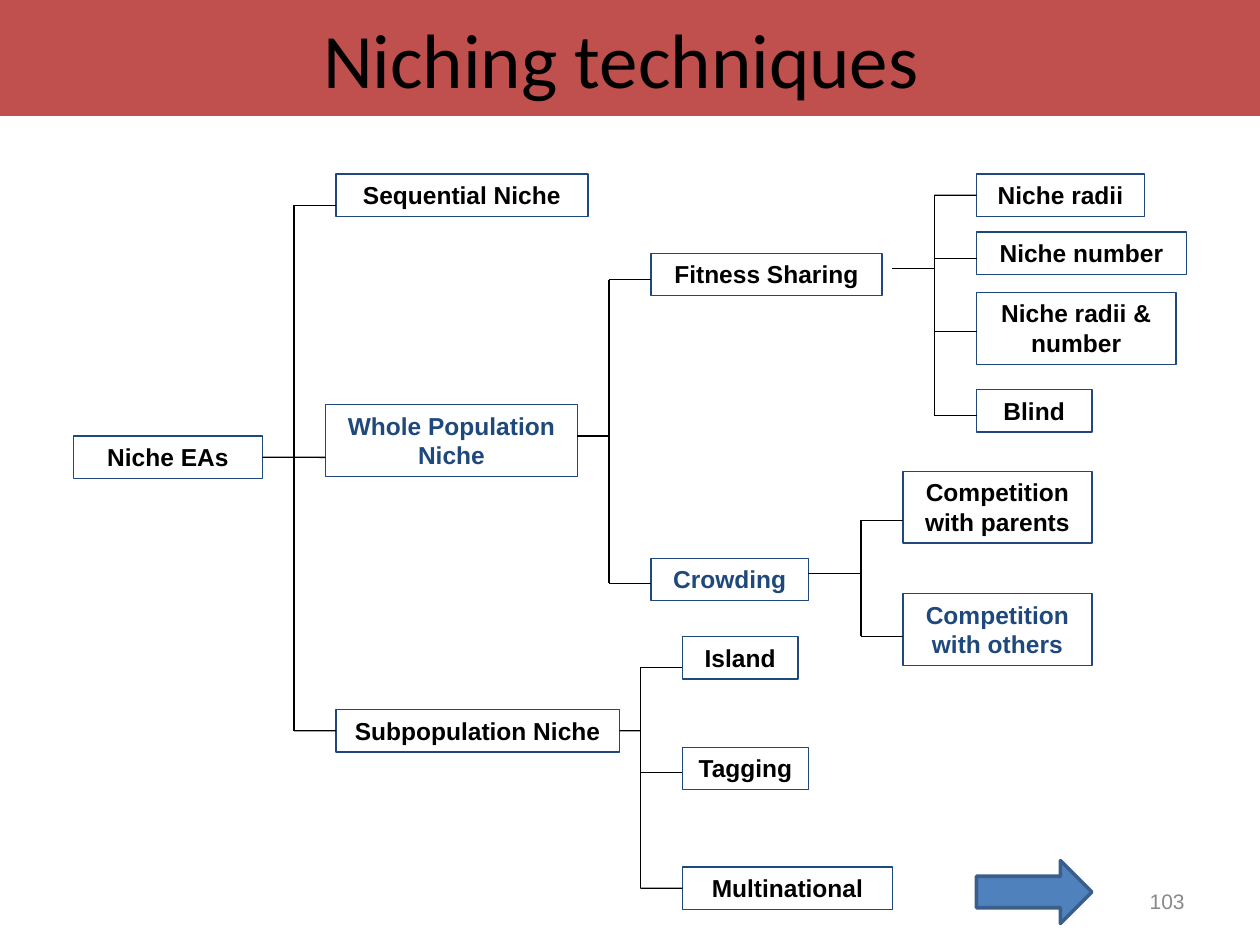
from dataclasses import dataclass

from lxml import etree
from pptx import Presentation
from pptx import util as u
from pptx.dml.color import RGBColor
from pptx.enum import shapes, text
from pptx.oxml import ns

COLUMNS, ROWS = 120, 75
LEFT, RIGHT = 1, 3


@dataclass(frozen=True)
class Theme:
    banner: str = "C0504D"
    ink: str = "000000"
    accent: str = "1F497D"
    arrow: str = "4F81BD"
    arrow_edge: str = "3A5F8C"
    muted: str = "898989"
    heading_font: str = "Calibri"
    body_font: str = "Arial"
    title_size: int = 44
    label_size: int = 14
    number_size: int = 12
    hairline: float = 0.75
    arrow_line: float = 2


def apply(target, values):
    for name, value in values.items():
        setattr(target, name, value)


class Diagram:
    def __init__(self, deck, theme):
        self.theme = theme
        self.page = deck.slides.add_slide(deck.slide_layouts[6])
        self.column = deck.slide_width / COLUMNS
        self.row = deck.slide_height / ROWS

    def place(self, x, y):
        return round(x * self.column), round(y * self.row)

    def label(self, shape, words, size, color, font, align, bold=False, frame=None):
        body = shape.text_frame
        apply(body, {"word_wrap": True, **(frame or {})})
        para = body.paragraphs[0]
        para.alignment = align
        span = para.add_run()
        span.text = words
        apply(span.font, {"name": font, "size": u.Pt(size), "bold": bold})
        span.font.color.rgb = RGBColor.from_string(color)

    def shape(self, kind, x, y, width, height, fill=None, edge=None, weight=0.75):
        shape = self.page.shapes.add_shape(
            kind, *self.place(x, y), *self.place(width, height))
        shape.shadow.inherit = False
        if fill:
            shape.fill.solid()
            shape.fill.fore_color.rgb = RGBColor.from_string(fill)
        else:
            shape.fill.background()
        if edge:
            shape.line.color.rgb = RGBColor.from_string(edge)
            shape.line.width = u.Pt(weight)
        else:
            shape.line.fill.background()
        return shape

    def title(self, words, height):
        theme = self.theme
        banner = self.shape(shapes.MSO_SHAPE.RECTANGLE, 0, 0, COLUMNS, height, theme.banner)
        self.label(banner, words, theme.title_size, theme.ink, theme.heading_font,
                   text.PP_ALIGN.CENTER, frame={"vertical_anchor": text.MSO_ANCHOR.MIDDLE})

    def number(self, words, x, y, width, height):
        theme = self.theme
        box = self.page.shapes.add_textbox(*self.place(x, y), *self.place(width, height))
        self.label(box, words, theme.number_size, theme.muted, theme.body_font,
                   text.PP_ALIGN.RIGHT, frame={"vertical_anchor": text.MSO_ANCHOR.MIDDLE})

    def node(self, words, x, y, width, lines=1, marked=False):
        theme = self.theme
        box = self.shape(shapes.MSO_SHAPE.RECTANGLE, x, y, width, 1.05 + 2.33 * lines,
                         edge=theme.accent, weight=theme.hairline)
        self.label(box, words, theme.label_size, theme.accent if marked else theme.ink,
                   theme.body_font, text.PP_ALIGN.CENTER, bold=True,
                   frame={"vertical_anchor": text.MSO_ANCHOR.TOP,
                          "auto_size": text.MSO_AUTO_SIZE.SHAPE_TO_FIT_TEXT})
        return box

    def wire(self, start, end, source=None, target=None):
        """Draw a line, joined to a box wherever it meets the middle of its side."""
        line = self.page.shapes.add_connector(
            shapes.MSO_CONNECTOR.STRAIGHT, *self.place(*start), *self.place(*end))
        line.line.color.rgb = RGBColor.from_string(self.theme.ink)
        line.line.width = u.Pt(self.theme.hairline)
        etree.SubElement(line._element.spPr, ns.qn("a:effectLst"))
        for box, y, join, side in ((source, start[1], line.begin_connect, RIGHT),
                                   (target, end[1], line.end_connect, LEFT)):
            if box and abs(box.top + box.height / 2 - y * self.row) < self.row / 5:
                join(box, side)

    def edge(self, box, side):
        return (box.left + (box.width if side == RIGHT else 0)) / self.column

    def bracket(self, parent, stem_row, spine, branches, gap=0, through=None):
        """Join a parent to its (box, row) branches by a stem and a vertical spine."""
        rows = [row for _, row in branches]
        self.wire((spine, min(rows)), (spine, max(rows)))
        stem_end = self.edge(through, LEFT) if through else spine
        self.wire((self.edge(parent, RIGHT) + gap, stem_row), (stem_end, stem_row),
                  None if gap else parent, through)
        for box, row in branches:
            self.wire((spine, row), (self.edge(box, LEFT), row), target=box)

    def arrow(self, x, y, width, height):
        theme = self.theme
        self.shape(shapes.MSO_SHAPE.RIGHT_ARROW, x, y, width, height,
                   theme.arrow, theme.arrow_edge, theme.arrow_line)


def main():
    deck = Presentation()
    apply(deck, {"slide_width": u.Inches(10), "slide_height": u.Inches(7.5)})
    diagram = Diagram(deck, Theme())

    # Title and page number
    diagram.title("Niching techniques ", 9.2)
    diagram.number("103", 86, 69.5, 28, 4)

    # Root and main families
    root = diagram.node("Niche EAs", 7, 34.6, 18)
    sequential = diagram.node("Sequential Niche", 32, 13.8, 24)
    whole = diagram.node("Whole Population Niche", 31, 32.1, 24, lines=2, marked=True)
    subpopulation = diagram.node("Subpopulation Niche", 32, 56.3, 27)

    # Whole-population techniques
    sharing = diagram.node("Fitness Sharing", 62, 20.1, 22)
    crowding = diagram.node("Crowding", 62, 44.3, 15, marked=True)

    # Subpopulation techniques
    island = diagram.node("Island", 65, 50.5, 11)
    tagging = diagram.node("Tagging", 65, 59.3, 12)
    multinational = diagram.node("Multinational", 65, 68.8, 20)

    # Fitness sharing variants
    radii = diagram.node("Niche radii", 93, 13.8, 16)
    count = diagram.node("Niche number", 93, 18.4, 20)
    both = diagram.node("Niche radii & number", 93, 23.2, 19, lines=2)
    blind = diagram.node("Blind", 93, 30.9, 11)

    # Crowding variants
    parents = diagram.node("Competition with parents", 86, 37.4, 18, lines=2)
    others = diagram.node("Competition with others", 86, 47.1, 18, lines=2, marked=True)

    # Tree lines
    diagram.bracket(root, 36.3, 28, [(sequential, 16.3), (subpopulation, 58)], through=whole)
    diagram.bracket(whole, 34.6, 58, [(sharing, 22.2), (crowding, 46.3)])
    diagram.bracket(subpopulation, 58, 61,
                    [(island, 53), (tagging, 61.3), (multinational, 70.5)])
    diagram.bracket(sharing, 21.3, 89,
                    [(radii, 15.5), (count, 20.5), (both, 26.3), (blind, 33)], gap=1)
    diagram.bracket(crowding, 45.5, 82, [(parents, 41.3), (others, 50.5)])

    # Onward arrow
    diagram.arrow(93, 68.3, 11, 5)

    deck.save("out.pptx")


if __name__ == "__main__":
    main()
